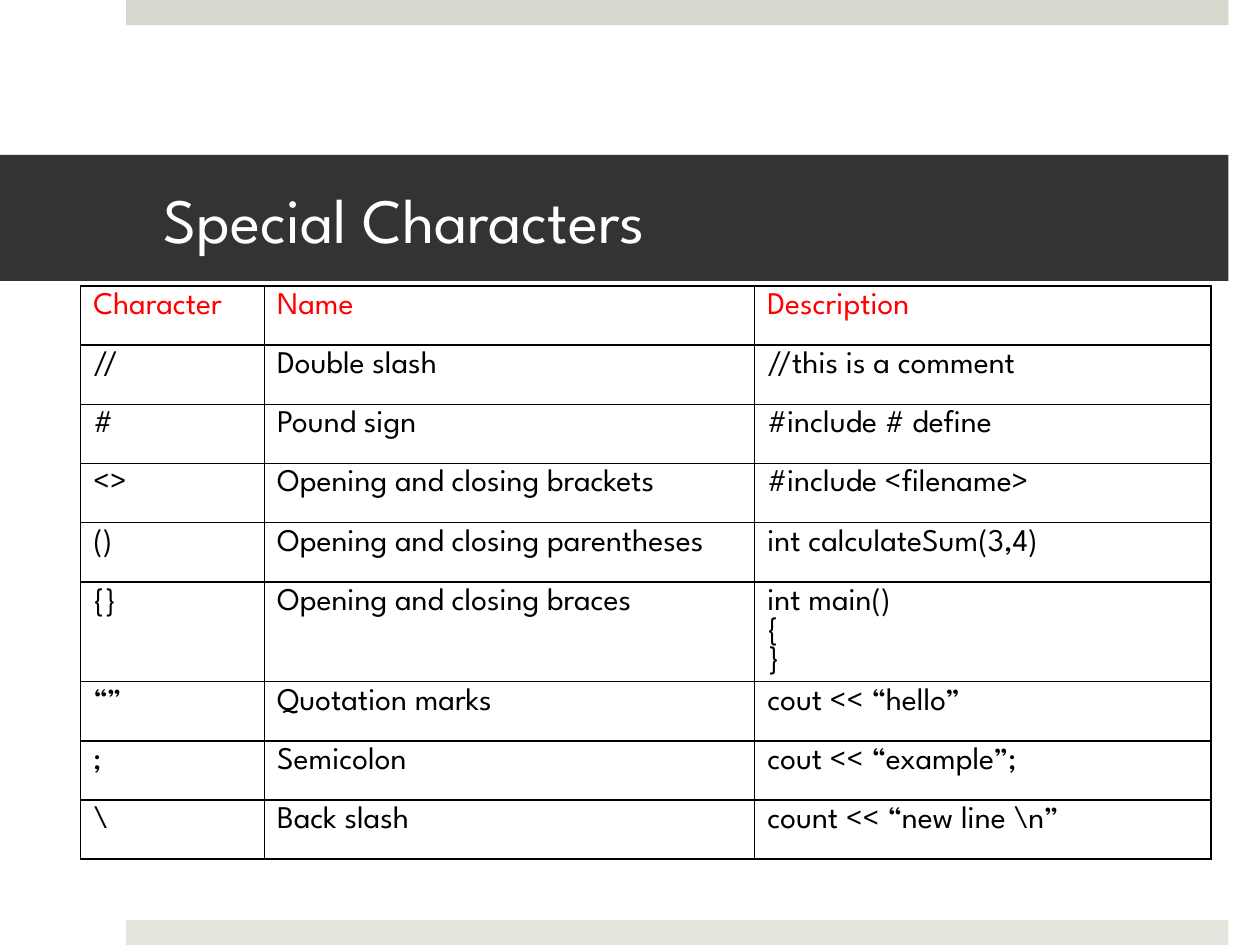
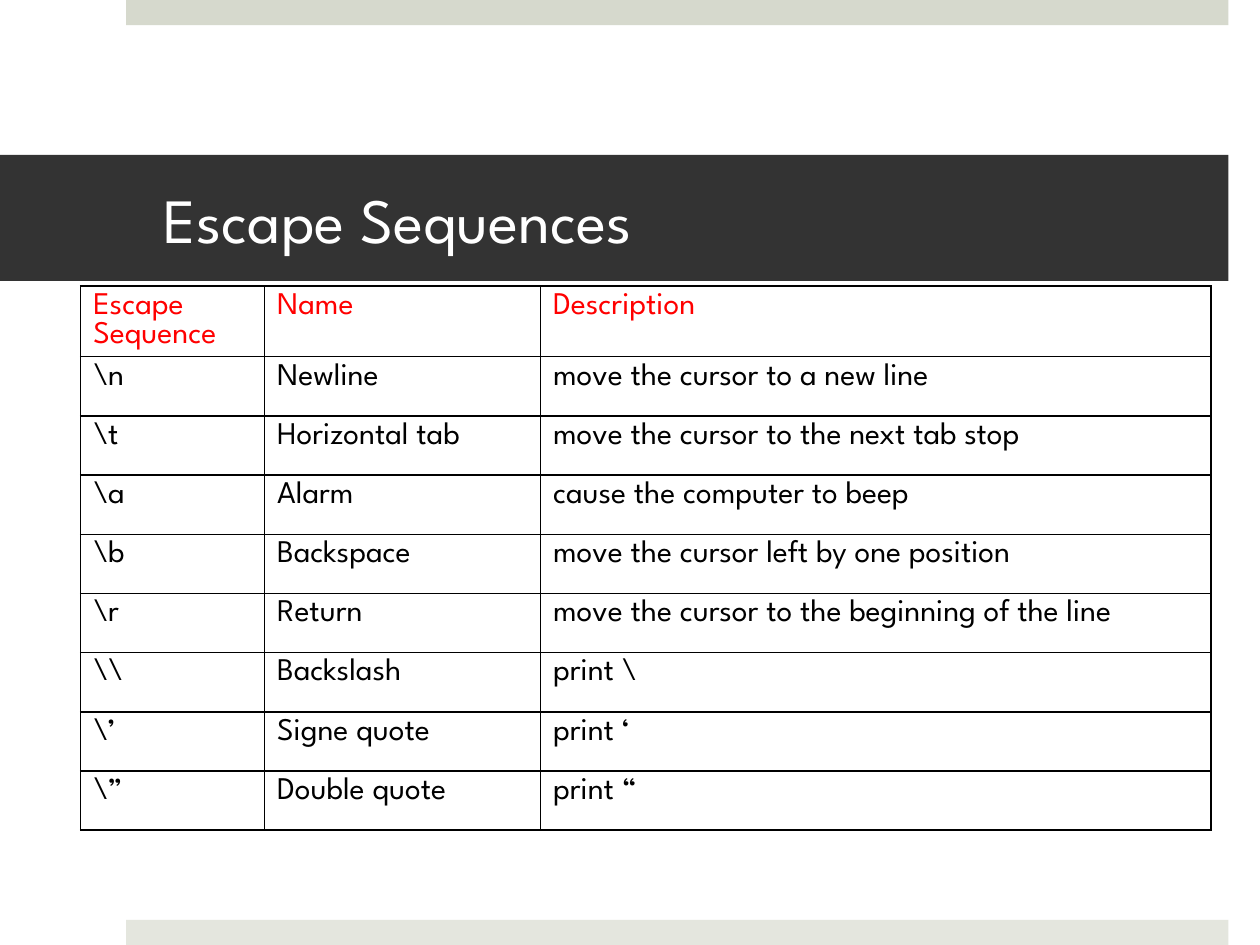
from dataclasses import dataclass
from lxml.etree import SubElement
from pptx import Presentation
from pptx.dml.color import RGBColor
from pptx.enum.shapes import MSO_SHAPE
from pptx.enum.text import MSO_ANCHOR, PP_ALIGN
from pptx.oxml.ns import qn
from pptx.util import Inches, Pt


@dataclass(frozen=True)
class Theme:
    """Colours, font and type sizes of the deck."""
    face: str = "League Spartan"
    dark: str = "333333"
    light: str = "FFFFFF"
    head: str = "FF0000"
    ink: str = "000000"
    top: str = "D6D9CD"
    base: str = "E4E6DE"
    big: int = 36
    body: int = 18
    rule: int = 1


theme = Theme()


def style(frame, size, tint):
    """Set the font of every paragraph in a text frame."""
    look = {"name": theme.face, "size": Pt(size), "bold": False}
    for para in frame.paragraphs:
        for run in para.runs:
            for key, value in look.items():
                setattr(run.font, key, value)
            run.font.color.rgb = RGBColor.from_string(tint)


def border(cell):
    """Draw a thin line on all four sides of a table cell."""
    props = cell._tc.get_or_add_tcPr()
    for side in ("lnL", "lnR", "lnT", "lnB"):
        line = SubElement(props, qn(f"a:{side}"), w=str(Pt(theme.rule)))
        fill = SubElement(line, qn("a:solidFill"))
        SubElement(fill, qn("a:srgbClr"), val=theme.ink)


pages = [
    ("Special Characters", (1.46, 3.89, 3.62), [
        ("Character", "Name", "Description"),
        ("//", "Double slash", "//this is a comment"),
        ("#", "Pound sign", "#include # define"),
        ("<>", "Opening and closing brackets", "#include <filename>"),
        ("()", "Opening and closing parentheses", "int calculateSum(3,4)"),
        ("{}", "Opening and closing braces", "int main()\v{\n}"),
        ("“”", "Quotation marks", "cout << “hello”"),
        (";", "Semicolon", "cout << “example”;"),
        ("\\", "Back slash", "count << “new line \\n”"),
    ]),
    ("Escape Sequences", (1.46, 2.19, 5.32), [
        ("Escape Sequence", "Name", "Description"),
        ("\\n", "Newline", "move the cursor to a new line"),
        ("\\t", "Horizontal tab", "move the cursor to the next tab stop"),
        ("\\a", "Alarm", "cause the computer to beep"),
        ("\\b", "Backspace", "move the cursor left by one position"),
        ("\\r", "Return", "move the cursor to the beginning of the line"),
        ("\\\\", "Backslash", "print \\"),
        ("\\’", "Signe quote", "print ‘"),
        ("\\”", "Double quote", "print “"),
    ]),
]

deck = Presentation()
deck.slide_width, deck.slide_height = Inches(10), Inches(7.5)
layout = deck.slide_layouts[5]
slides = [deck.slides.add_slide(layout) for page in pages]

# The bands are made on a slide, then moved to the layout that all share.
for top, tint in ((0, theme.top), (7.3, theme.base)):
    band = slides[0].shapes.add_shape(
        MSO_SHAPE.RECTANGLE, Inches(1), Inches(top), Inches(8.75), Inches(0.2))
    band.shadow.inherit = False
    band.fill.solid()
    band.fill.fore_color.rgb = RGBColor.from_string(tint)
    band.line.fill.background()
    layout.shapes.element.append(band.element)

place = {"left": Inches(0), "top": Inches(1.23),
         "width": Inches(9.75), "height": Inches(1)}
inset = {"margin_left": Inches(1.3), "margin_right": Inches(0.3),
         "margin_top": Inches(0.05), "margin_bottom": Inches(0.05),
         "vertical_anchor": MSO_ANCHOR.MIDDLE, "word_wrap": True}
plain = {"first_row": False, "horz_banding": False}

for slide, (name, widths, rows) in zip(slides, pages):
    title = slide.shapes.title
    title.text = name
    title.fill.solid()
    title.fill.fore_color.rgb = RGBColor.from_string(theme.dark)
    frame = title.text_frame
    for thing, values in ((title, place), (frame, inset)):
        for key, value in values.items():
            setattr(thing, key, value)
    frame.paragraphs[0].alignment = PP_ALIGN.LEFT
    style(frame, theme.big, theme.light)

    grid = slide.shapes.add_table(
        len(rows), len(widths), Inches(0.64), Inches(2.27),
        Inches(sum(widths)), Inches(0.47 * len(rows))).table
    for key, value in plain.items():
        setattr(grid, key, value)
    for col, width in zip(grid.columns, widths):
        col.width = Inches(width)
    for r, row in enumerate(rows):
        grid.rows[r].height = Inches(0.47)
        for c, text in enumerate(row):
            cell = grid.cell(r, c)
            cell.text = text
            border(cell)
            cell.fill.background()
            style(cell.text_frame, theme.body, theme.ink if r else theme.head)

deck.save("out.pptx")
